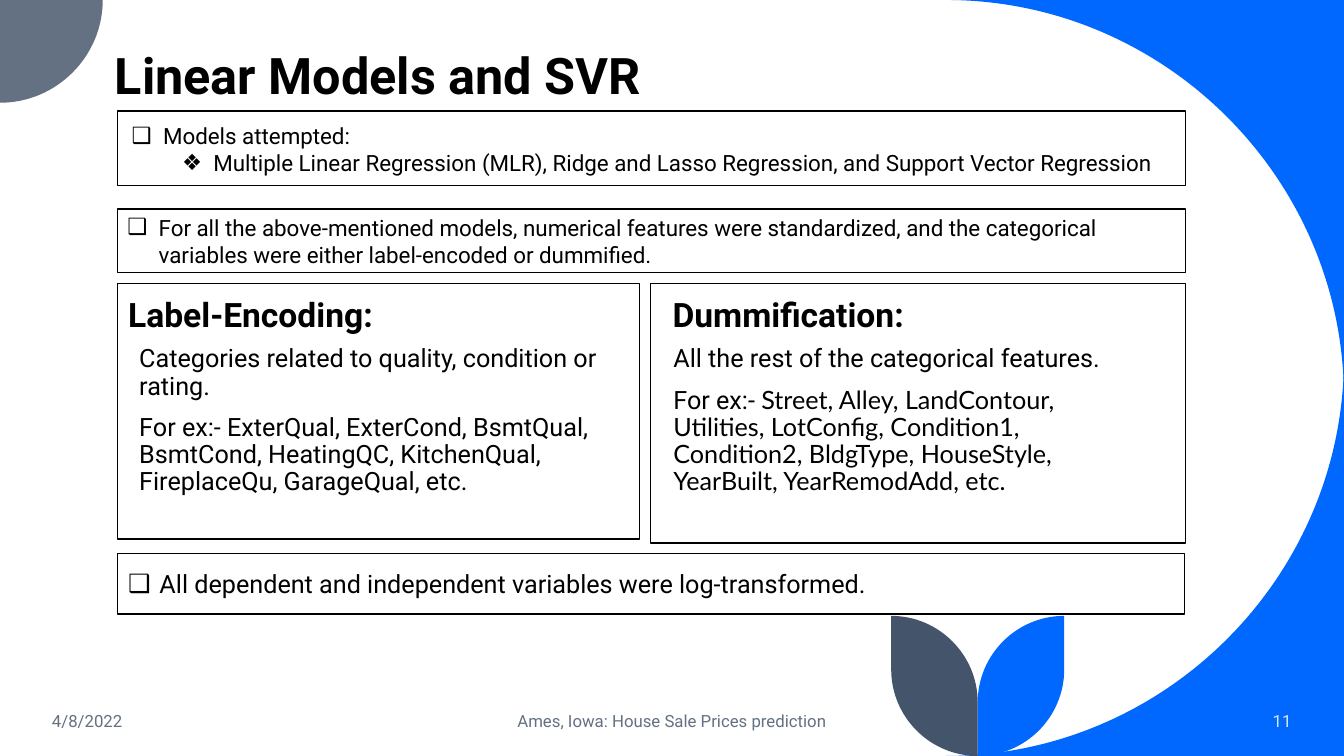
from dataclasses import dataclass

from lxml.etree import SubElement
from pptx import Presentation
from pptx.dml.color import RGBColor
from pptx.enum.shapes import MSO_SHAPE
from pptx.enum.text import MSO_ANCHOR, MSO_AUTO_SIZE, PP_ALIGN
from pptx.oxml.ns import qn
from pptx.util import Cm, Pt


@dataclass(frozen=True)
class Theme:
    font: str = "Roboto"
    feature_font: str = "Lato"
    ink: str = "000000"
    blue: str = "0068FF"
    slate: str = "637183"
    navy: str = "44546A"
    pale: str = "DAE5EF"
    title: int = 36
    heading: int = 24
    body: int = 18
    note: int = 16
    footer: int = 12


def quarter(start, corner, end):
    """Two control points and the end of a quarter circle bulging to the corner."""
    controls = [tuple(p + 0.55 * (c - p) for p, c in zip(point, corner))
                for point in (start, end)]
    return [*controls, end]


class SlideBuilder:
    def __init__(self, slide, theme):
        self.slide = slide
        self.theme = theme

    def style(self, paragraph, size, color=None, bold=False, align=PP_ALIGN.LEFT):
        font = paragraph.font
        font.name, font.size, font.bold = self.theme.font, Pt(size), bold
        font.color.rgb = RGBColor.from_string(color or self.theme.ink)
        paragraph.alignment = align

    def title(self, text, left, top, width, height):
        shape = self.slide.shapes.title
        shape.left, shape.top, shape.width, shape.height = map(Cm, (left, top, width, height))
        frame = shape.text_frame
        frame.text = text
        frame.auto_size = MSO_AUTO_SIZE.NONE
        frame.vertical_anchor = MSO_ANCHOR.BOTTOM
        self.style(frame.paragraphs[0], self.theme.title, bold=True)
        frame.paragraphs[0].line_spacing = 0.9

    def outline(self, start, segments, color):
        """Segments hold one point for a line, three for a curve."""
        builder = self.slide.shapes.build_freeform(*map(Cm, start))
        builder.add_line_segments([(Cm(x), Cm(y)) for points in segments for x, y in points])
        shape = builder.convert_to_shape()
        lines = iter(list(shape._element.iter(qn("a:lnTo"))))
        for points in segments:
            first, *others = [next(lines) for point in points]
            if others:
                first.tag = qn("a:cubicBezTo")
            for line in others:
                first.append(line[0])
                line.getparent().remove(line)
        shape.fill.solid()
        shape.fill.fore_color.rgb = RGBColor.from_string(color)
        shape.line.fill.background()
        shape.shadow.inherit = False

    def frame(self, left, top, width, height):
        shape = self.slide.shapes.add_shape(
            MSO_SHAPE.RECTANGLE, *map(Cm, (left, top, width, height)))
        shape.fill.background()
        shape.line.color.rgb = RGBColor.from_string(self.theme.ink)
        shape.line.width = Pt(1)
        shape.shadow.inherit = False

    def text_frame(self, left, top, width, height):
        box = self.slide.shapes.add_textbox(*map(Cm, (left, top, width, height)))
        box.text_frame.word_wrap = True
        return box.text_frame

    def paragraphs(self, frame, texts):
        for index, text in enumerate(texts):
            paragraph = frame.add_paragraph() if index else frame.paragraphs[0]
            paragraph.add_run().text = text
            yield paragraph

    def prose(self, place, texts, size, bold=False):
        frame = self.text_frame(*place)
        for paragraph in self.paragraphs(frame, texts):
            self.style(paragraph, size, bold=bold)
            paragraph.line_spacing = 0.9
            paragraph.space_before = Pt(10)
        return frame

    def bullets(self, place, items, size):
        """Items are (level, text) pairs."""
        frame = self.text_frame(*place)
        frame.auto_size = MSO_AUTO_SIZE.SHAPE_TO_FIT_TEXT
        texts = [text for level, text in items]
        for (level, text), paragraph in zip(items, self.paragraphs(frame, texts)):
            paragraph.level = level
            properties = paragraph._p.get_or_add_pPr()
            properties.set("marL", str(Cm(0.79 + 1.27 * level)))
            properties.set("indent", str(-Cm(0.79)))
            SubElement(properties, qn("a:buFont")).set("typeface", self.theme.font)
            SubElement(properties, qn("a:buChar")).set("char", "❑❖"[level])
            self.style(paragraph, size)

    def footer(self, text, left, width, color, align):
        frame = self.text_frame(left, 17.65, width, 1.02)
        frame.vertical_anchor = MSO_ANCHOR.MIDDLE
        for paragraph in self.paragraphs(frame, [text]):
            self.style(paragraph, self.theme.footer, color, align=align)


def main():
    theme = Theme()
    right, bottom = 33.87, 19.05
    presentation = Presentation()
    presentation.slide_width = Cm(right)
    presentation.slide_height = Cm(bottom)
    slide = presentation.slides.add_slide(presentation.slide_layouts[5])
    builder = SlideBuilder(slide, theme)

    # Curved corners: slide corner, radius along x and y, colour
    for corner, across, down, color in (((right, 0), -10.03, 10.03, theme.blue),
                                        ((right, bottom), -10.03, -10.03, theme.blue)):
        x, y = corner
        start, end = (x + across, y), (x, y + down)
        builder.outline(corner, [[start], quarter(start, corner, end), [corner]], color)
    start, end = (2.59, 0), (0, 2.59)
    builder.outline((0, 0), [[start], quarter(start, (2.59, 2.59), end), [(0, 0)]], theme.slate)

    # Pair of leaves, mirrored about the stem
    stem, leaf_top, leaf_width = 24.64, 15.52, 2.18
    for side, color in ((1, theme.blue), (-1, theme.navy)):
        edge = stem + side * leaf_width
        tip, shoulder = (edge, leaf_top), (edge, bottom - leaf_width)
        foot, waist = (stem, bottom), (stem, leaf_top + leaf_width)
        builder.outline(tip, [[shoulder], quarter(shoulder, (edge, bottom), foot),
                              [waist], quarter(waist, (stem, leaf_top), tip)], color)

    # Title and frames
    builder.title("Linear Models and SVR", 2.64, 1.05, 27.76, 1.73)
    for place in ((2.96, 2.8, 26.92, 1.88), (2.96, 5.27, 26.92, 1.6),
                  (2.96, 7.14, 13.16, 6.44), (16.39, 7.14, 13.49, 6.54),
                  (2.96, 13.95, 26.9, 1.52)):
        builder.frame(*place)

    # Bulleted statements
    builder.bullets((3.07, 2.96, 26.92, 1.63), [
        (0, "Models attempted:"),
        (1, "Multiple Linear Regression (MLR), Ridge and Lasso Regression, "
            "and Support Vector Regression")], theme.note)
    builder.bullets((2.96, 5.27, 26.92, 1.63), [
        (0, "For all the above-mentioned models, numerical features were standardized, "
            "and the categorical variables were either label-encoded or dummified.")], theme.note)
    builder.bullets((2.98, 14.2, 26.9, 1.02), [
        (0, "All dependent and independent variables were log-transformed.")], theme.body)

    # Two encoding columns
    builder.prose((2.98, 7.39, 13.44, 1.22), ["Label-Encoding:"], theme.heading, bold=True)
    builder.prose((3.26, 8.6, 12.24, 4.52), [
        "Categories related to quality, condition or rating.",
        "For ex:- ExterQual, ExterCond, BsmtQual, BsmtCond, HeatingQC, KitchenQual, "
        "FireplaceQu, GarageQual, etc."], theme.body)
    builder.prose((16.7, 7.39, 13.16, 0.97), ["Dummification:"], theme.heading, bold=True)
    dummified = builder.prose((16.72, 8.6, 12.22, 4.52), [
        "All the rest of the categorical features.", "For ex:- "], theme.body)
    features = dummified.paragraphs[1].add_run()
    features.text = ("Street, Alley, LandContour, Utilities, LotConfig, Condition1, Condition2, "
                     "BldgType, HouseStyle, YearBuilt, YearRemodAdd, etc.")
    features.font.name = theme.feature_font

    # Footer
    builder.footer("4/8/2022", 1.06, 7.62, theme.slate, PP_ALIGN.LEFT)
    builder.footer("Ames, Iowa: House Sale Prices prediction", 11.22, 11.43,
                   theme.slate, PP_ALIGN.CENTER)
    builder.footer("11", 28.2, 4.6, theme.pale, PP_ALIGN.RIGHT)

    presentation.save("out.pptx")


if __name__ == "__main__":
    main()
